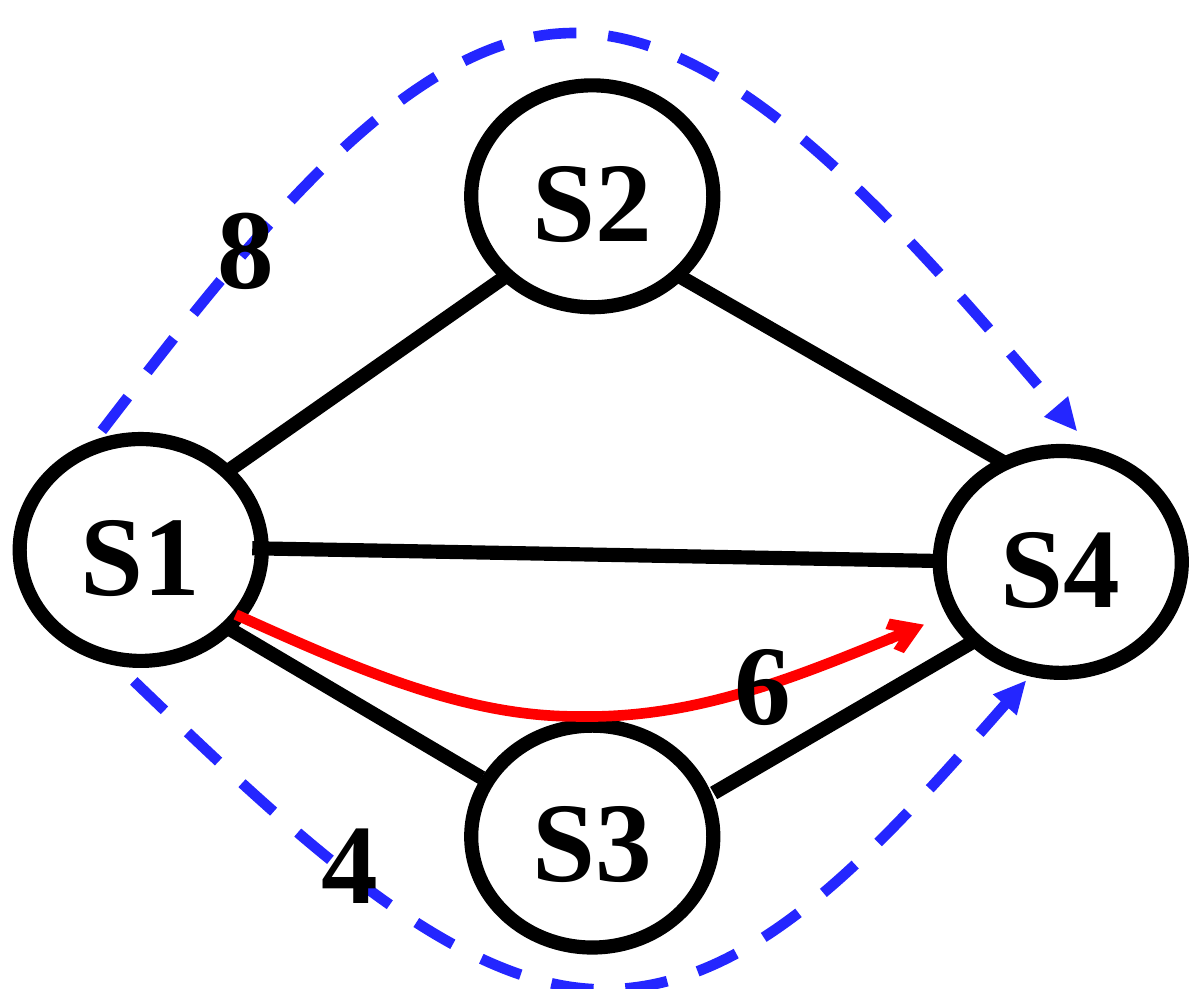
"""Draw a four-switch network with three weighted routes."""
from typing import NamedTuple

from lxml.etree import SubElement
from pptx import Presentation
from pptx.dml.color import RGBColor
from pptx.enum.dml import MSO_LINE
from pptx.enum.shapes import MSO_CONNECTOR, MSO_SHAPE
from pptx.enum.text import MSO_ANCHOR, PP_ALIGN
from pptx.oxml.ns import qn
from pptx.util import Inches, Pt

BLACK = RGBColor(0x00, 0x00, 0x00)
WHITE = RGBColor(0xFF, 0xFF, 0xFF)
BLUE = RGBColor(0x24, 0x26, 0xFF)
RED = RGBColor(0xFF, 0x00, 0x00)
WIDE, HIGH = (round(Inches(1) * n / 576) for n in (2721, 2234))
CELL = Inches(0.01)
NODE, MARK = (95, 87), (22, 54)


class Spot(NamedTuple):
    """A column and row on the slide's grid."""
    x: float
    y: float

    def emu(self) -> tuple[int, int]:
        """Give the point in slide units."""
        return round(CELL * self.x), round(CELL * self.y)


class Label(NamedTuple):
    """A text and the centre it sits on."""
    text: str
    mid: Spot

    def box(self, size: tuple[float, float]) -> tuple[int, int, int, int]:
        """Give left, top, width and height around the centre."""
        w, h = size
        corner = Spot(self.mid.x - w / 2, self.mid.y - h / 2)
        return *corner.emu(), *Spot(w, h).emu()


class Route(NamedTuple):
    """A curved arrow: its start, then three points for each bend."""
    spots: list[Spot]
    color: RGBColor
    head: str
    dashed: bool
    label: Label


class Link(NamedTuple):
    """A straight line between two nodes."""
    start: Spot
    end: Spot


NODES = [
    Label("S1", Spot(55.2, 215.7)),
    Label("S2", Spot(232.4, 77)),
    Label("S3", Spot(232.4, 328.1)),
    Label("S4", Spot(416.2, 220.4)),
]
LINKS = [
    Link(Spot(266, 108), Spot(395, 182)),
    Link(Spot(89, 185), Spot(199, 108)),
    Link(Spot(89, 246), Spot(189, 305)),
    Link(Spot(280, 311), Spot(383, 251)),
    Link(Spot(99, 215), Spot(369, 220)),
]
ROUTES = [
    Route([Spot(40, 169), Spot(100, 91), Spot(161, 13), Spot(225, 13),
           Spot(288, 13), Spot(356, 91), Spot(422.5, 169)],
          BLUE, "triangle", True, Label("8", Spot(96.3, 95.5))),
    Route([Spot(92.5, 241), Spot(137, 261), Spot(181, 281), Spot(226, 281),
           Spot(271, 282), Spot(317, 264), Spot(362.5, 245)],
          RED, "arrow", False, Label("6", Spot(299.2, 266.3))),
    Route([Spot(52.5, 267), Spot(116, 328), Spot(179, 388), Spot(237, 388),
           Spot(296, 388), Spot(349, 328), Spot(402.5, 267)],
          BLUE, "triangle", True, Label("4", Spot(137, 336.5))),
]


def stroke(line, color: RGBColor, width: float) -> None:
    """Set a line's colour and width in points."""
    line.color.rgb = color
    line.width = Pt(width)


def write(frame, text: str) -> None:
    """Put centred bold text in a frame."""
    frame.word_wrap = False
    frame.vertical_anchor = MSO_ANCHOR.MIDDLE
    frame.margin_left = frame.margin_right = 0
    frame.margin_top = frame.margin_bottom = 0
    para = frame.paragraphs[0]
    para.text = text
    para.alignment = PP_ALIGN.CENTER
    font = para.font
    font.name, font.size, font.bold = "Times New Roman", Pt(32), True
    font.color.rgb = BLACK


def add_node(shapes, node: Label) -> None:
    """Draw a switch as a named ellipse."""
    oval = shapes.add_shape(MSO_SHAPE.OVAL, *node.box(NODE))
    oval.shadow.inherit = False
    oval.fill.solid()
    oval.fill.fore_color.rgb = WHITE
    stroke(oval.line, BLACK, 4)
    write(oval.text_frame, node.text)


def add_link(shapes, link: Link) -> None:
    """Draw a line between two switches."""
    line = shapes.add_connector(
        MSO_CONNECTOR.STRAIGHT, *link.start.emu(), *link.end.emu())
    stroke(line.line, BLACK, 4)
    SubElement(line._element.spPr, qn("a:effectLst"))


def add_route(shapes, route: Route) -> None:
    """Draw a curved arrow and its weight."""
    first, *rest = [spot.emu() for spot in route.spots]
    pen = shapes.build_freeform(*first)
    pen.add_line_segments(rest, close=False)
    curve = pen.convert_to_shape()
    curve.shadow.inherit = False
    curve.fill.background()
    stroke(curve.line, route.color, 3)
    if route.dashed:
        curve.line.dash_style = MSO_LINE.DASH
    props = curve._element.spPr
    SubElement(props.find(qn("a:ln")), qn("a:tailEnd"), type=route.head)
    track = props.find(".//" + qn("a:path"))
    steps = track.findall(qn("a:lnTo"))
    for i in range(0, len(steps), 3):
        bend = SubElement(track, qn("a:cubicBezTo"))
        for step in steps[i:i + 3]:
            bend.append(step[0])
            track.remove(step)
    mark = shapes.add_textbox(*route.label.box(MARK))
    write(mark.text_frame, route.label.text)


def main() -> None:
    """Build the slide and save it."""
    deck = Presentation()
    deck.slide_width, deck.slide_height = WIDE, HIGH
    shapes = deck.slides.add_slide(deck.slide_layouts[6]).shapes
    for node in NODES:
        add_node(shapes, node)
    for link in LINKS:
        add_link(shapes, link)
    for route in ROUTES:
        add_route(shapes, route)
    deck.save("out.pptx")


main()
